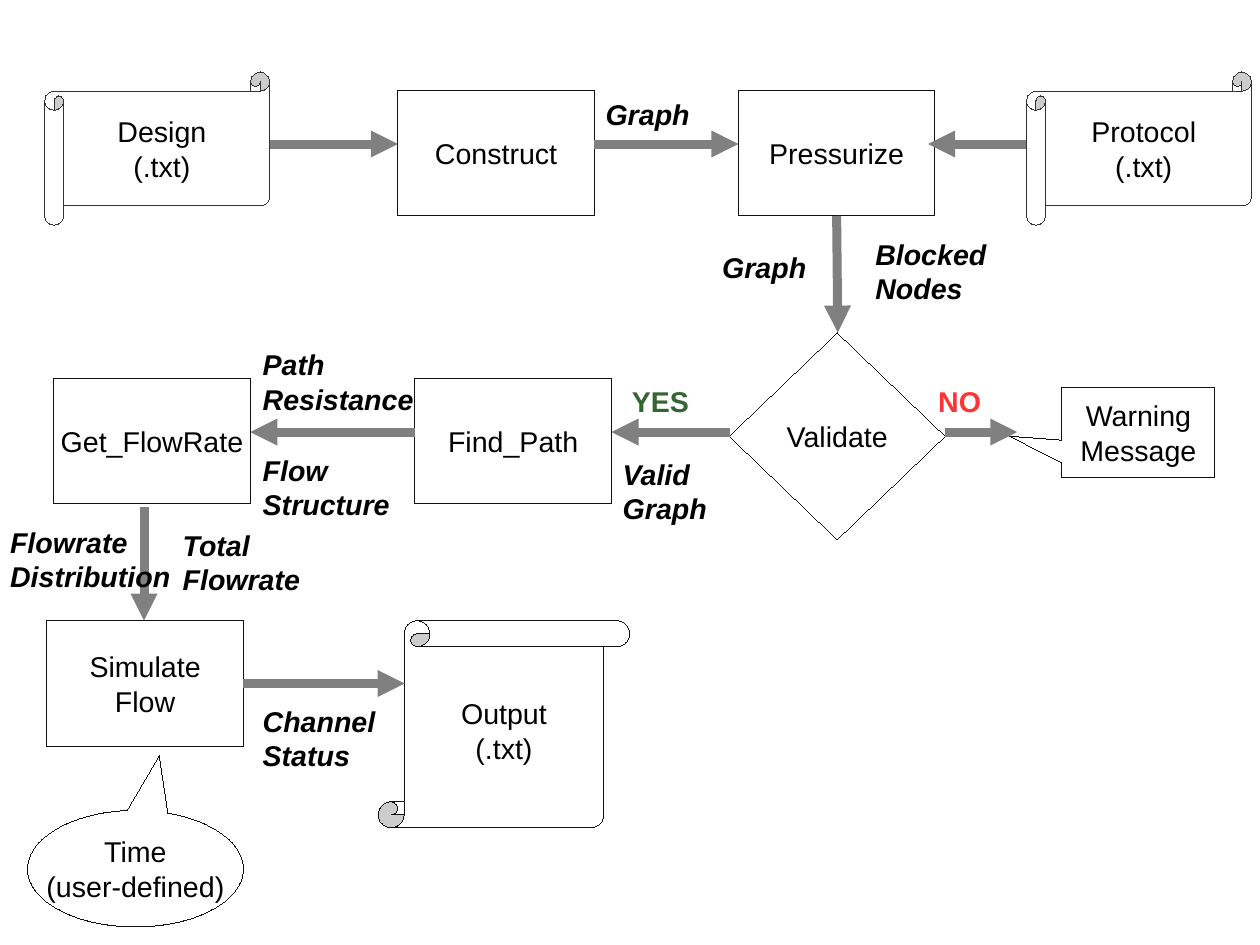
from lxml import etree
from pptx import Presentation
from pptx.dml.color import RGBColor
from pptx.enum.shapes import MSO_CONNECTOR, MSO_SHAPE
from pptx.enum.text import MSO_ANCHOR, MSO_AUTO_SIZE, PP_ALIGN
from pptx.oxml.ns import qn
from pptx.util import Inches, Pt

RECT = MSO_SHAPE.RECTANGLE
DIAMOND = MSO_SHAPE.DIAMOND
H_SCROLL = MSO_SHAPE.HORIZONTAL_SCROLL
V_SCROLL = MSO_SHAPE.VERTICAL_SCROLL
ELLIPSE_CALLOUT = MSO_SHAPE.OVAL_CALLOUT
RECT_CALLOUT = MSO_SHAPE.RECTANGULAR_CALLOUT
STRAIGHT = MSO_CONNECTOR.STRAIGHT
MIDDLE = MSO_ANCHOR.MIDDLE
CENTER = PP_ALIGN.CENTER
LEFT = PP_ALIGN.LEFT
FIT_SHAPE = MSO_AUTO_SIZE.SHAPE_TO_FIT_TEXT

BLACK = RGBColor(0x00, 0x00, 0x00)
WHITE = RGBColor(0xFF, 0xFF, 0xFF)
OUTLINE = RGBColor(0x11, 0x11, 0x11)
SCROLL_OUTLINE = RGBColor(0x33, 0x33, 0x33)
GRAY = RGBColor(0x80, 0x80, 0x80)
RED = RGBColor(0xFF, 0x33, 0x33)
GREEN = RGBColor(0x33, 0x66, 0x33)

SLIDE_SIZE = (28 / 2.54, 21 / 2.54)
STEP_SIZE = (1.72, 1.1)
FILE_SIZE = (1.97, 1.34)
ROW_1, ROW_2, ROW_3 = 1.26, 3.78, 5.98

STEPS = [
    ("Construct", 3.48, 0.79),
    ("Pressurize", 6.46, 0.79),
    ("Find_Path", 3.63, 3.31),
    ("Get_FlowRate", 0.47, 3.31),
    ("Simulate\nFlow", 0.41, 5.43),
]
INPUT_FILES = [("Design\n(.txt)", 0.39, 0.63), ("Protocol\n(.txt)", 8.98, 0.63)]
OTHER_NODES = [
    (DIAMOND, "Validate", (6.38, 2.91, 1.89, 1.81), ()),
    (ELLIPSE_CALLOUT, "Time\n(user-defined)", (0.24, 7.09, 1.89, 1.02), (0.11, -0.97)),
    (V_SCROLL, "Output\n(.txt)", (3.31, 5.43, 2.2, 1.81), ()),
    (RECT_CALLOUT, "Warning\nMessage", (9.29, 3.39, 1.34, 0.79), (-0.84, 0.04)),
]
ARROWS = [
    (2.36, ROW_1, 3.48, ROW_1),
    (5.2, ROW_1, 6.46, ROW_1),
    (8.98, ROW_1, 8.12, ROW_1),
    (7.32, 1.89, 7.33, 2.91),
    (8.27, ROW_2, 8.9, ROW_2),
    (6.39, ROW_2, 5.35, ROW_2),
    (3.63, ROW_2, 2.19, ROW_2),
    (1.26, 4.44, 1.26, 5.43),
    (2.13, ROW_3, 3.54, ROW_3),
]
DATA_LABELS = [
    ("Graph", 5.2, 0.8, 0.94, 0.38),
    ("Graph", 6.22, 2.14, 0.94, 0.38),
    ("Blocked Nodes", 7.56, 2.02, 1.26, 0.66),
    ("Valid\nGraph", 5.35, 3.95, 0.94, 0.66),
    ("Flow\nStructure", 2.2, 3.91, 1.51, 0.66),
    ("Path\nResistance", 2.2, 2.99, 1.67, 0.66),
    ("Flowrate\nDistribution", -0.01, 4.54, 1.67, 0.66),
    ("Total\nFlowrate", 1.5, 4.57, 1.34, 0.66),
    ("Channel\nStatus", 2.2, 6.11, 1.34, 0.66),
]
ANSWERS = [
    ("NO", RED, 8.11, 3.31, 0.94, 0.38),
    ("YES", GREEN, 5.43, 3.31, 0.94, 0.38),
]


def add_text(tf, text, align, color=BLACK, bold=False, italic=False):
    for i, line in enumerate(text.split("\n")):
        p = tf.paragraphs[0] if i == 0 else tf.add_paragraph()
        p.alignment = align
        r = p.add_run()
        r.text = line
        r.font.name = "Arial"
        r.font.size = Pt(18)
        r.font.bold = bold
        r.font.italic = italic
        r.font.color.rgb = color


def add_node(s, kind, text, box, adjustments=(), outline=OUTLINE):
    sp = s.shapes.add_shape(kind, *map(Inches, box))
    for i, value in enumerate(adjustments):
        sp.adjustments[i] = value
    sp.shadow.inherit = False
    sp.fill.solid()
    sp.fill.fore_color.rgb = WHITE
    sp.line.color.rgb = outline
    sp._element.spPr.find(qn("a:ln")).set("w", "0")
    tf = sp.text_frame
    tf.word_wrap = False
    tf.vertical_anchor = MIDDLE
    add_text(tf, text, CENTER)


def add_arrow(s, points):
    cx = s.shapes.add_connector(STRAIGHT, *map(Inches, points))
    cx.line.color.rgb = GRAY
    cx.line.width = Pt(5.67)
    sp_pr = cx._element.spPr
    etree.SubElement(sp_pr.find(qn("a:ln")), qn("a:tailEnd"), type="triangle")
    etree.SubElement(sp_pr, qn("a:effectLst"))


def add_label(s, text, box, color=BLACK, italic=True):
    tf = s.shapes.add_textbox(*map(Inches, box)).text_frame
    tf.word_wrap = True
    tf.auto_size = FIT_SHAPE
    add_text(tf, text, LEFT, color, True, italic)


def main():
    prs = Presentation()
    prs.slide_width, prs.slide_height = map(Inches, SLIDE_SIZE)
    s = prs.slides.add_slide(prs.slide_layouts[6])
    for text, x, y in INPUT_FILES:
        add_node(s, H_SCROLL, text, (x, y, *FILE_SIZE), outline=SCROLL_OUTLINE)
    for text, x, y in STEPS:
        add_node(s, RECT, text, (x, y, *STEP_SIZE))
    for kind, text, box, adjustments in OTHER_NODES:
        add_node(s, kind, text, box, adjustments)
    for points in ARROWS:
        add_arrow(s, points)
    for text, *box in DATA_LABELS:
        add_label(s, text, box)
    for text, color, *box in ANSWERS:
        add_label(s, text, box, color, italic=False)
    prs.save("out.pptx")


if __name__ == "__main__":
    main()
